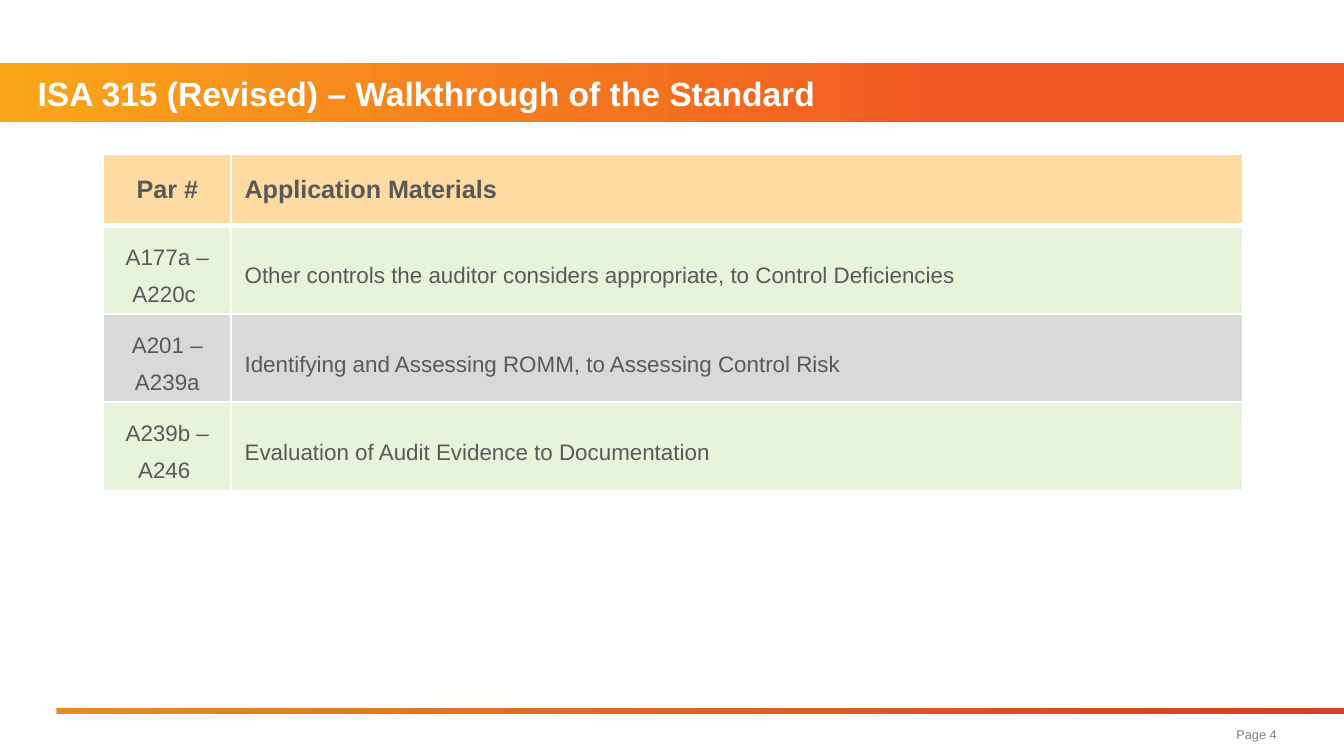
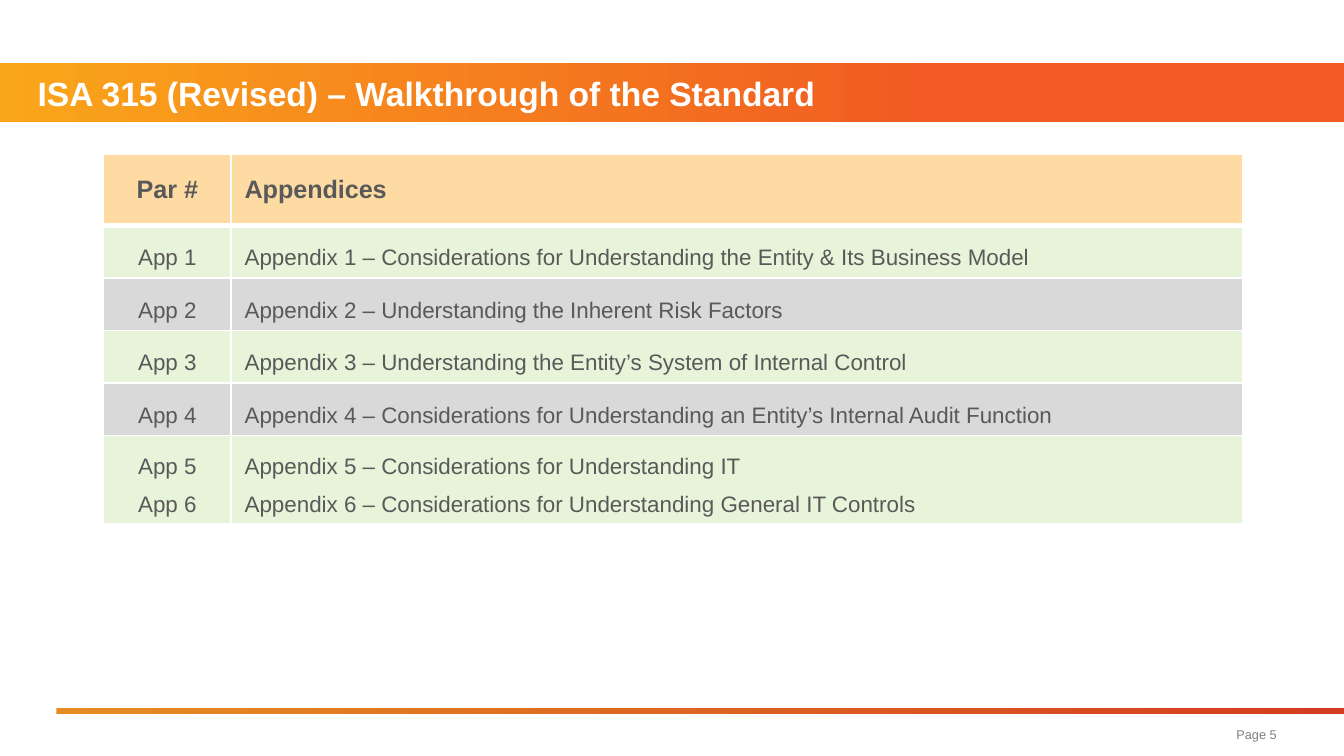
from lxml import etree
from pptx import Presentation
from pptx.dml.color import RGBColor
from pptx.enum.shapes import MSO_SHAPE
from pptx.enum.text import MSO_ANCHOR, PP_ALIGN
from pptx.oxml.ns import qn
from pptx.util import Inches, Pt

RECT = MSO_SHAPE.RECTANGLE
MIDDLE = MSO_ANCHOR.MIDDLE
LEFT, CENTER, RIGHT = PP_ALIGN.LEFT, PP_ALIGN.CENTER, PP_ALIGN.RIGHT

FONT = "Arial"
WHITE, TEXT, PAGE_GREY = "FFFFFF", "595959", "808080"
HEADER_FILL, ROW_FILLS = "FDDBA3", ("E8F4D9", "D9D9D9")
BAND_STOPS = [("FAA61A", 0), ("F15A22", 0.7)]
RULE_STOPS = [("E58D23", 0), ("D53D20", 0.99)]

SLIDE_WIDTH = 10
SLIDE_HEIGHT = SLIDE_WIDTH * 9 / 16
TITLE = "ISA 315 (Revised) – Walkthrough of the Standard"
BAND_BOX = (0, 0.47, SLIDE_WIDTH, 0.44)
RULE_BOX = (0.42, 5.27, 9.58, 0.04)
PAGE_BOX = (7.79, 5.34, 1.71, 0.25)
TABLE_LEFT, TABLE_TOP = 0.77, 1.15
COL_WIDTHS = (0.95, 7.53)
HEADER_HEIGHT, ONE_LINE, TWO_LINES = 0.53, 0.39, 0.65
FIRST_PAGE = 4

TABLES = [
    [
        ("Par #", "Application Materials"),
        ("A177a – A220c ", "Other controls the auditor considers appropriate, to Control Deficiencies"),
        ("A201 – A239a", "Identifying and Assessing ROMM, to Assessing Control Risk"),
        ("A239b – A246 ", "Evaluation of Audit Evidence to Documentation"),
    ],
    [
        ("Par #", "Appendices"),
        ("App 1", "Appendix 1 – Considerations for Understanding the Entity & Its Business Model"),
        ("App 2", "Appendix 2 – Understanding the Inherent Risk Factors"),
        ("App 3", "Appendix 3 – Understanding the Entity’s System of Internal Control"),
        ("App 4", "Appendix 4 – Considerations for Understanding an Entity’s Internal Audit Function"),
        ("App 5\nApp 6", "Appendix 5 – Considerations for Understanding IT\n"
                         "Appendix 6 – Considerations for Understanding General IT Controls"),
    ],
]


def rgb(color):
    return RGBColor.from_string(color)


def inches(box):
    return [Inches(v) for v in box]


def write(tf, text, size, color, bold=False, align=LEFT, spacing=None):
    tf.text = text
    for p in tf.paragraphs:
        p.alignment = align
        p.line_spacing = spacing
        p.font.name = FONT
        p.font.size = Pt(size)
        p.font.bold = bold
        p.font.color.rgb = rgb(color)


def add_gradient_bar(s, box, stops):
    bar = s.shapes.add_shape(RECT, *inches(box))
    bar.shadow.inherit = False
    bar.line.fill.background()
    bar.fill.gradient()
    bar.fill.gradient_angle = 0
    for stop, (color, position) in zip(bar.fill.gradient_stops, stops):
        stop.color.rgb = rgb(color)
        stop.position = position


def add_text(s, box, text, size, color, bold=False, align=LEFT, indent=0):
    tf = s.shapes.add_textbox(*inches(box)).text_frame
    tf.word_wrap = True
    tf.vertical_anchor = MIDDLE
    tf.margin_left = Inches(indent)
    tf.margin_top = tf.margin_right = tf.margin_bottom = 0
    write(tf, text, size, color, bold, align)


def add_borders(cell, top, bottom):
    tc_pr = cell._tc.get_or_add_tcPr()
    for side, width in (("L", 1), ("R", 1), ("T", top), ("B", bottom)):
        ln = etree.SubElement(tc_pr, qn(f"a:ln{side}"), w=str(Pt(width)))
        fill = etree.SubElement(ln, qn("a:solidFill"))
        etree.SubElement(fill, qn("a:srgbClr"), val=WHITE)


def row_height(i, label):
    if i == 0:
        return HEADER_HEIGHT
    return TWO_LINES if "–" in label or "\n" in label else ONE_LINE


def add_paragraph_table(s, rows):
    heights = [row_height(i, label) for i, (label, _) in enumerate(rows)]
    box = (TABLE_LEFT, TABLE_TOP, sum(COL_WIDTHS), sum(heights))
    table = s.shapes.add_table(len(rows), len(COL_WIDTHS), *inches(box)).table
    for column, width in zip(table.columns, COL_WIDTHS):
        column.width = Inches(width)
    for i, (row, height) in enumerate(zip(rows, heights)):
        table.rows[i].height = Inches(height)
        header = i == 0
        for j, text in enumerate(row):
            cell = table.cell(i, j)
            cell.vertical_anchor = MIDDLE
            add_borders(cell, 3 if i == 1 else 1, 3 if header else 1)
            cell.fill.solid()
            cell.fill.fore_color.rgb = rgb(HEADER_FILL if header else ROW_FILLS[(i - 1) % 2])
            write(cell.text_frame, text, 13.5 if header else 12, TEXT, header,
                  LEFT if j else CENTER, None if header else Pt(20))


def main():
    """Build the walkthrough slides and save them."""
    prs = Presentation()
    prs.slide_width, prs.slide_height = inches((SLIDE_WIDTH, SLIDE_HEIGHT))
    for page, rows in enumerate(TABLES, FIRST_PAGE):
        s = prs.slides.add_slide(prs.slide_layouts[6])
        add_gradient_bar(s, BAND_BOX, BAND_STOPS)
        add_gradient_bar(s, RULE_BOX, RULE_STOPS)
        add_text(s, BAND_BOX, TITLE, 18, WHITE, bold=True, indent=0.28)
        add_text(s, PAGE_BOX, f"Page {page}", 6.8, PAGE_GREY, align=RIGHT)
        add_paragraph_table(s, rows)
    prs.save("out.pptx")


if __name__ == "__main__":
    main()
